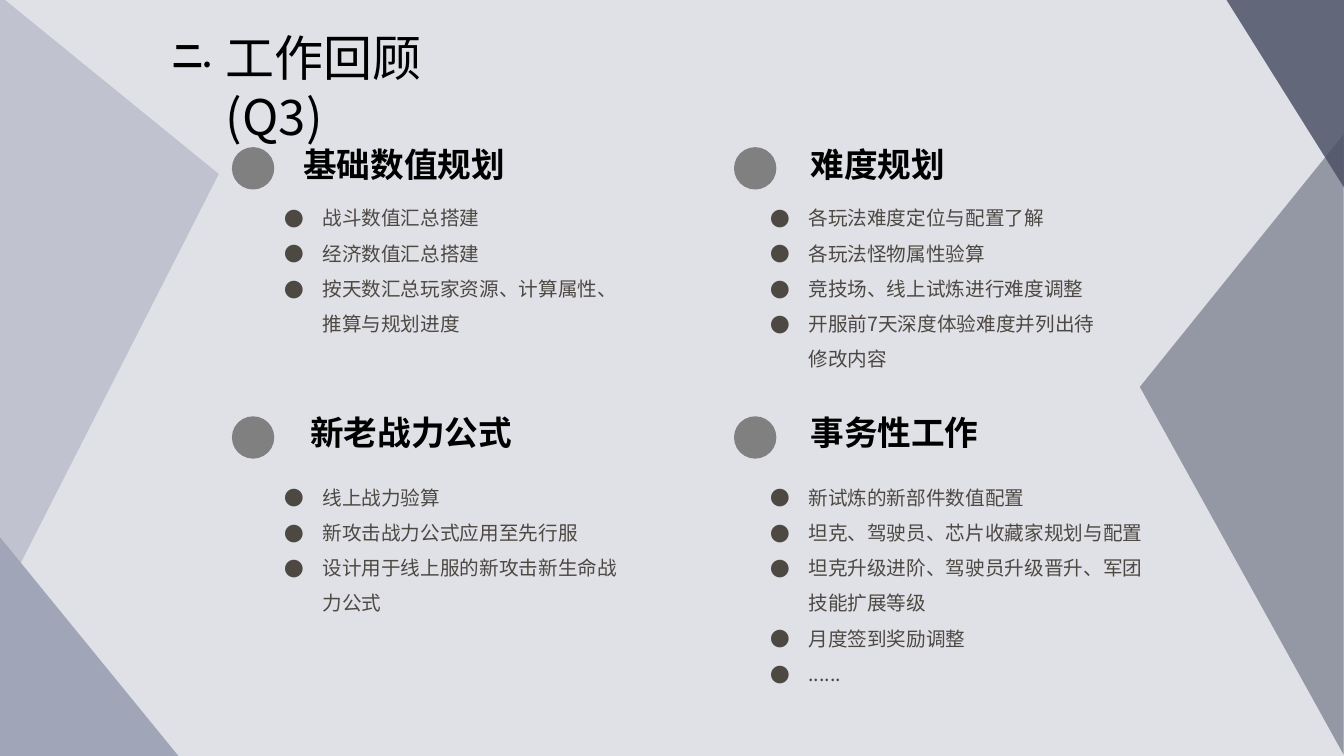
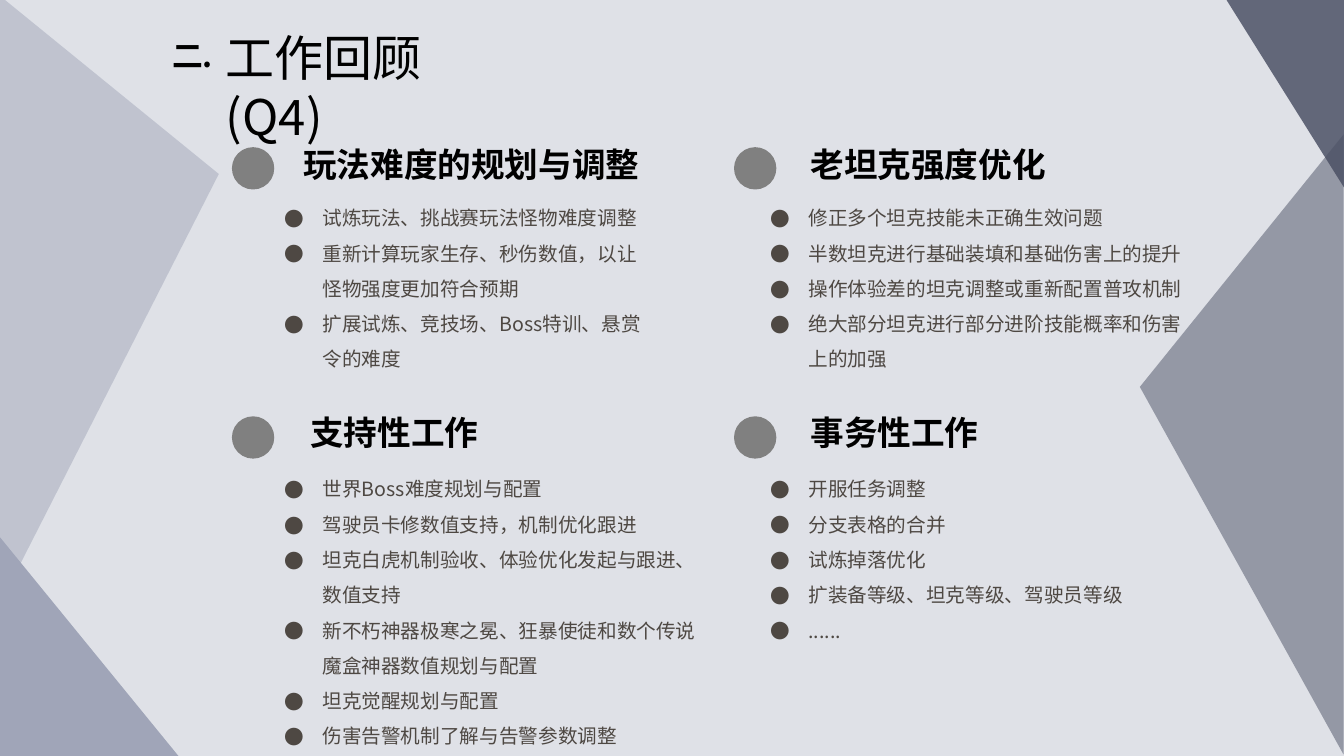
"""Build the two quarterly work review slides (Q3 and Q4)."""
from lxml import etree
from pptx import Presentation
from pptx.dml.color import RGBColor
from pptx.enum import shapes, text
from pptx.oxml import ns
from pptx.util import Inches, Pt

FONT = "Noto Sans CJK SC"
BACKGROUND = RGBColor(0xDF, 0xE1, 0xE7)
LAVENDER = RGBColor(0xA0, 0xA5, 0xB8)
SLATE = RGBColor(0x4B, 0x50, 0x64)
GRAY = RGBColor(0x80, 0x80, 0x80)
BLACK = RGBColor(0x00, 0x00, 0x00)
BODY = RGBColor(0x4E, 0x48, 0x43)

TRIANGLES = [
    (0, 5.33, 1.77, 2.17, 0, 0, LAVENDER, 100),
    (12.14, -0.04, 1.19, 1.9, 180, 0, SLATE, 84),
    (-1.93, 1.89, 6.03, 2.17, 90, 0.293, LAVENDER, 49),
    (9.24, 3.4, 6.15, 2.02, 270, 0.593, SLATE, 50),
]
CELLS = [
    {"dot": (2.3, 1.46), "heading": (2.91, 1.38), "list_left": 2.72},
    {"dot": (7.28, 1.46), "heading": (7.94, 1.38), "list_left": 7.54},
    {"dot": (2.3, 4.13), "heading": (2.98, 4.04), "list_left": 2.72},
    {"dot": (7.28, 4.13), "heading": (7.94, 4.04), "list_left": 7.54},
]
DOT_SIZE = 0.42
HEADING_SIZE = 24
LINE_HEIGHT = 0.354

QUARTERS = [
    ("工作回顾(Q3)", (1.88, 4.65), [
        ("基础数值规划", 3.54, 4, [
            "战斗数值汇总搭建",
            "经济数值汇总搭建",
            "按天数汇总玩家资源、计算属性、推算与规划进度",
        ]),
        ("难度规划", 3.54, 5, [
            "各玩法难度定位与配置了解",
            "各玩法怪物属性验算",
            "竞技场、线上试炼进行难度调整",
            "开服前7天深度体验难度并列出待修改内容",
        ]),
        ("新老战力公式", 3.54, 4, [
            "线上战力验算",
            "新攻击战力公式应用至先行服",
            "设计用于线上服的新攻击新生命战力公式",
        ]),
        ("事务性工作", 3.9, 6, [
            "新试炼的新部件数值配置",
            "坦克、驾驶员、芯片收藏家规划与配置",
            "坦克升级进阶、驾驶员升级晋升、军团技能扩展等级",
            "月度签到奖励调整",
            "......",
        ]),
    ]),
    ("工作回顾(Q4)", (1.88, 4.57), [
        ("玩法难度的规划与调整", 3.84, 5, [
            "试炼玩法、挑战赛玩法怪物难度调整",
            "重新计算玩家生存、秒伤数值，以让怪物强度更加符合预期",
            "扩展试炼、竞技场、Boss特训、悬赏令的难度",
        ]),
        ("老坦克强度优化", 4.33, 5, [
            "修正多个坦克技能未正确生效问题",
            "半数坦克进行基础装填和基础伤害上的提升",
            "操作体验差的坦克调整或重新配置普攻机制",
            "绝大部分坦克进行部分进阶技能概率和伤害上的加强",
        ]),
        ("支持性工作", 4.4, 8, [
            "世界Boss难度规划与配置",
            "驾驶员卡修数值支持，机制优化跟进",
            "坦克白虎机制验收、体验优化发起与跟进、数值支持",
            "新不朽神器极寒之冕、狂暴使徒和数个传说魔盒神器数值规划与配置",
            "坦克觉醒规划与配置",
            "伤害告警机制了解与告警参数调整",
        ]),
        ("事务性工作", 3.9, 5, [
            "开服任务调整",
            "分支表格的合并",
            "试炼掉落优化",
            "扩装备等级、坦克等级、驾驶员等级",
            "......",
        ]),
    ]),
]


def write(box, lines, size, color, bold=False, wrap=False, bullets=False):
    """Fill a text box or placeholder with one run per paragraph."""
    frame = box.text_frame
    frame.word_wrap = wrap
    frame.auto_size = text.MSO_AUTO_SIZE.NONE
    frame.vertical_anchor = text.MSO_ANCHOR.TOP
    for index, line in enumerate(lines):
        para = frame.add_paragraph() if index else frame.paragraphs[0]
        para.alignment = text.PP_ALIGN.LEFT
        para.line_spacing = 1.5 if bullets else 1.0
        if bullets:
            props = para._p.get_or_add_pPr()
            props.set("marL", str(Inches(0.38)))
            props.set("indent", str(-Inches(0.38)))
            etree.SubElement(props, ns.qn("a:buFont")).set("typeface", FONT)
            etree.SubElement(props, ns.qn("a:buChar")).set("char", "●")
        span = para.add_run()
        span.text = line
        span.font.size = Pt(size)
        span.font.bold = bold
        span.font.color.rgb = color
        span.font.name = FONT
        east_asian = etree.SubElement(span._r.get_or_add_rPr(), ns.qn("a:ea"))
        east_asian.set("typeface", FONT)


def add_plain_shape(page, kind, left, top, width, height, color):
    """Add a filled shape without outline or shadow."""
    shape = page.shapes.add_shape(
        kind, Inches(left), Inches(top), Inches(width), Inches(height))
    shape.shadow.inherit = False
    shape.fill.solid()
    shape.fill.fore_color.rgb = color
    shape.line.fill.background()
    return shape


deck = Presentation()
deck.slide_width = Inches(13.33)
deck.slide_height = Inches(7.5)
deck.slide_master.background.fill.solid()
deck.slide_master.background.fill.fore_color.rgb = BACKGROUND

for title, list_tops, sections in QUARTERS:
    page = deck.slides.add_slide(deck.slide_layouts[5])

    for left, top, width, height, angle, apex, color, opacity in TRIANGLES:
        triangle = add_plain_shape(
            page, shapes.MSO_SHAPE.ISOSCELES_TRIANGLE, left, top, width, height, color)
        triangle.rotation = angle
        triangle.adjustments[0] = apex
        if opacity < 100:
            tint = triangle._element.spPr.find(".//" + ns.qn("a:srgbClr"))
            etree.SubElement(tint, ns.qn("a:alpha")).set("val", str(opacity * 1000))

    heading = page.shapes.title
    heading.left, heading.top = Inches(2.14), Inches(0.22)
    heading.width, heading.height = Inches(3.15), Inches(0.69)
    heading.text_frame.margin_right = Inches(0.6)
    write(heading, [title], 35, BLACK, wrap=True)

    number = page.shapes.add_textbox(
        Inches(1.61), Inches(0.32), Inches(0.6), Inches(0.47))
    write(number, ["二."], 22, BLACK, bold=True)

    for index, (cell, section) in enumerate(zip(CELLS, sections)):
        name, list_width, line_count, items = section
        add_plain_shape(
            page, shapes.MSO_SHAPE.OVAL, *cell["dot"], DOT_SIZE, DOT_SIZE, GRAY)

        left, top = cell["heading"]
        name_width = 0.2 + len(name) * HEADING_SIZE / 72
        name_box = page.shapes.add_textbox(
            Inches(left), Inches(top), Inches(name_width), Inches(0.5))
        write(name_box, [name], HEADING_SIZE, BLACK, bold=True)

        list_box = page.shapes.add_textbox(
            Inches(cell["list_left"]), Inches(list_tops[index // 2]),
            Inches(list_width), Inches(0.1 + line_count * LINE_HEIGHT))
        write(list_box, items, 14, BODY, wrap=True, bullets=True)

deck.save("out.pptx")
